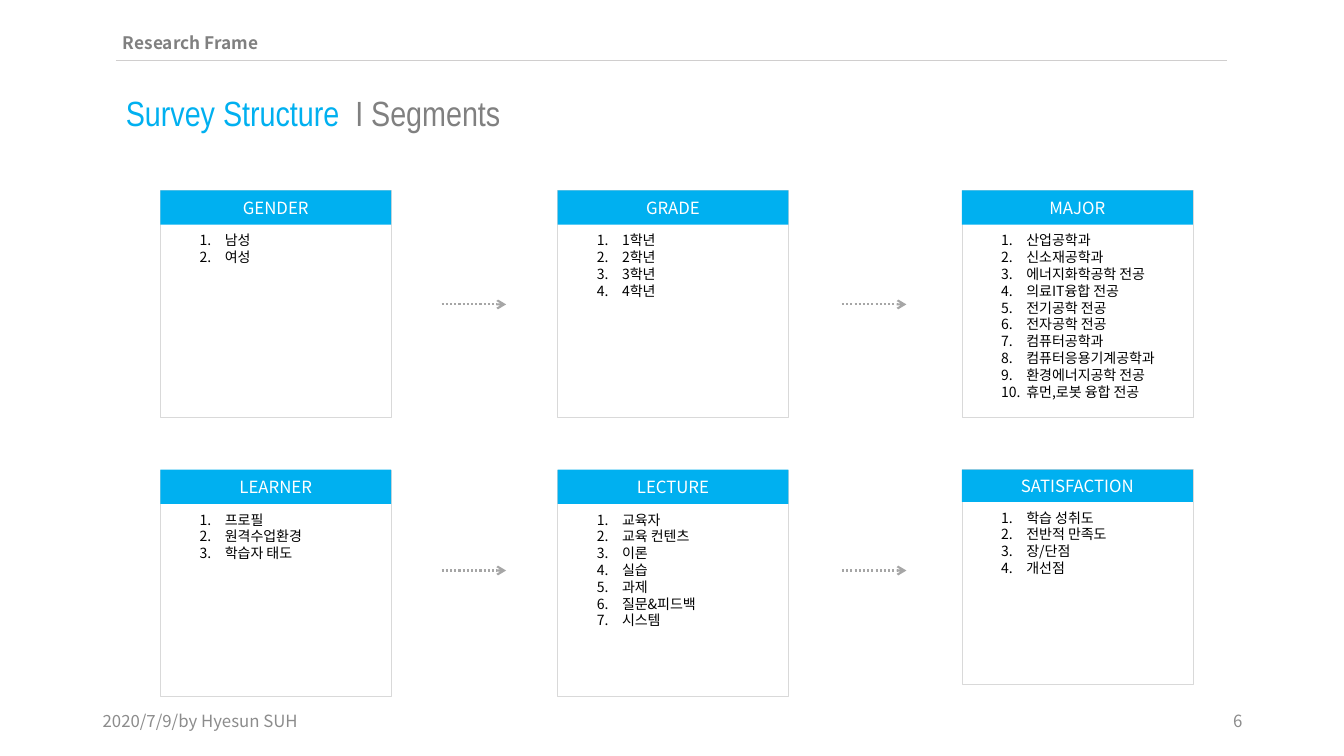
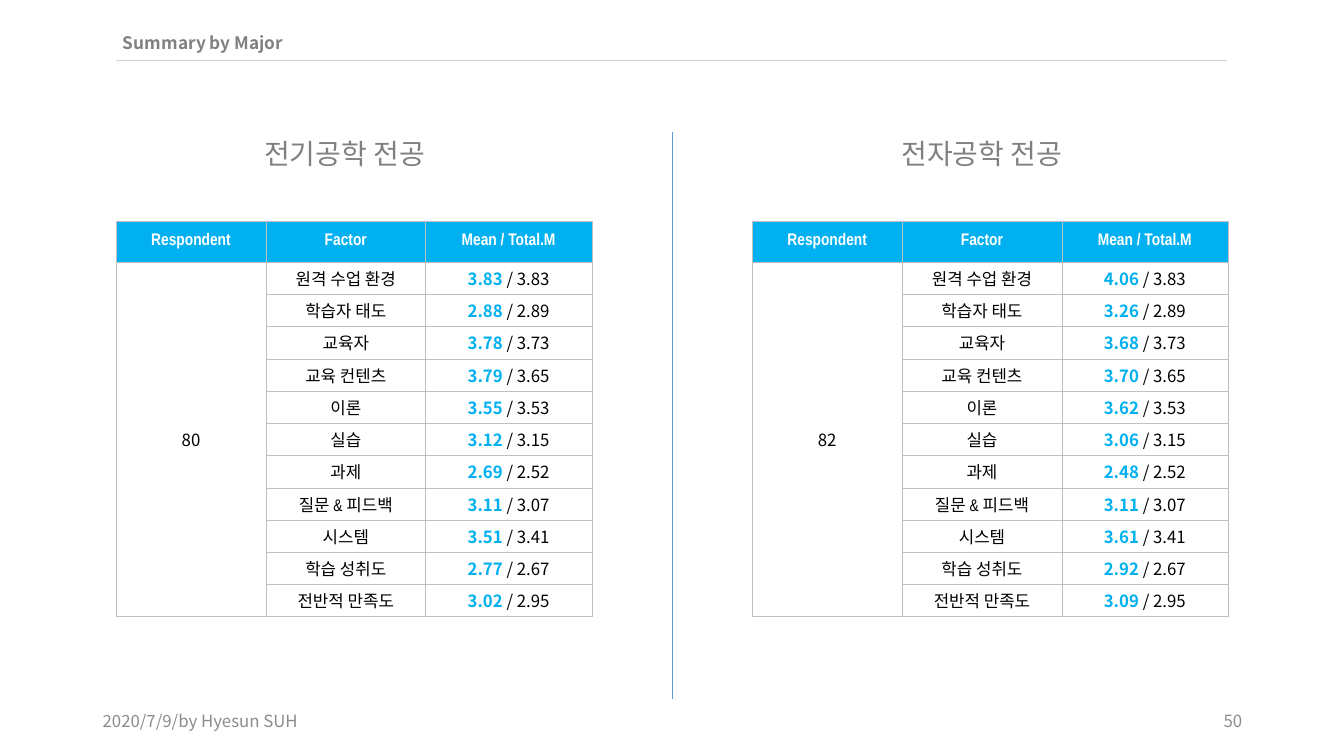
from lxml import etree
from pptx import Presentation
from pptx import util as u
from pptx.dml.color import RGBColor
from pptx.enum import dml, shapes, text
from pptx.oxml import ns

PX = 9144
BLUE = RGBColor(0x00, 0xB0, 0xF0)
RULE = RGBColor(0x5B, 0x9B, 0xD5)
GRAY = RGBColor(0x80, 0x80, 0x80)
FOOT = RGBColor(0x8C, 0x8C, 0x8C)
DOTS = RGBColor(0xA6, 0xA6, 0xA6)
GRID = RGBColor(0xBF, 0xBF, 0xBF)
HAIR = RGBColor(0xD0, 0xCE, 0xCE)
EDGE = RGBColor(0xD9, 0xD9, 0xD9)
BLACK = RGBColor(0x00, 0x00, 0x00)
WHITE = RGBColor(0xFF, 0xFF, 0xFF)
NOTO = "Noto Sans CJK KR"
SLIM = "Arial Narrow"
LEFT = text.PP_ALIGN.LEFT
MID = text.PP_ALIGN.CENTER
RIGHT = text.PP_ALIGN.RIGHT
CENTER = text.MSO_ANCHOR.MIDDLE

SEGMENTS = [
    ("GENDER", 225, ["남성", "여성"]),
    ("GRADE", 225, ["1학년", "2학년", "3학년", "4학년"]),
    ("MAJOR", 225, ["산업공학과", "신소재공학과", "에너지화학공학 전공", "의료IT융합 전공",
                    "전기공학 전공", "전자공학 전공", "컴퓨터공학과", "컴퓨터응용기계공학과",
                    "환경에너지공학 전공", "휴먼,로봇 융합 전공"]),
    ("LEARNER", 225, ["프로필", "원격수업환경", "학습자 태도"]),
    ("LECTURE", 225, ["교육자", "교육 컨텐츠", "이론", "실습", "과제", "질문&피드백", "시스템"]),
    ("SATISFACTION", 213, ["학습 성취도", "전반적 만족도", "장/단점", "개선점"]),
]
HEADS = ["Respondent", "Factor", "Mean / Total.M"]
FACTORS = ["원격 수업 환경", "학습자 태도", "교육자", "교육 컨텐츠", "이론", "실습", "과제",
           "질문 & 피드백", "시스템", "학습 성취도", "전반적 만족도"]
TOTALS = [3.83, 2.89, 3.73, 3.65, 3.53, 3.15, 2.52, 3.07, 3.41, 2.67, 2.95]
MAJORS = [
    ("전기공학 전공", 252, 115, "80",
     [3.83, 2.88, 3.78, 3.79, 3.55, 3.12, 2.69, 3.11, 3.51, 2.77, 3.02]),
    ("전자공학 전공", 884, 746, "82",
     [4.06, 3.26, 3.68, 3.70, 3.62, 3.06, 2.48, 3.11, 3.61, 2.92, 3.09]),
]


def px(*vals):
    """Turn px lengths into EMU."""
    return [u.Emu(round(v * PX)) for v in vals]


def assign(obj, vals):
    """Set each named attribute of an object."""
    for key, val in vals.items():
        setattr(obj, key, val)


def sub(node, tag, **attrs):
    """Append a drawing element and return it."""
    return etree.SubElement(node, ns.qn("a:" + tag), attrs)


def write(para, runs, align=LEFT):
    """Fill a paragraph with runs of (words, size, colour, font, bold)."""
    para.alignment = align
    for words, size, color, face, bold in runs:
        run = para.add_run()
        run.text = words
        run.font.color.rgb = color
        assign(run.font, {"size": u.Pt(size), "bold": bold, "name": face})
        sub(run._r.get_or_add_rPr(), "ea", typeface=NOTO)


def inset(frame, side, top):
    """Set the margins of a text frame or cell."""
    across, down = px(side, top)
    assign(frame, {"margin_left": across, "margin_right": across,
                   "margin_top": down, "margin_bottom": down})


def label(tree, box, runs, align=LEFT, pad=(10, 5), anchor=text.MSO_ANCHOR.TOP):
    """Place one line of text in a box."""
    frame = tree.add_textbox(*px(*box)).text_frame
    assign(frame, {"word_wrap": True, "vertical_anchor": anchor})
    inset(frame, *pad)
    write(frame.paragraphs[0], runs, align)


def line(slide, ends, color, width, arrow=False):
    """Draw a line, dotted with a head if it is an arrow."""
    link = slide.shapes.add_connector(shapes.MSO_CONNECTOR.STRAIGHT, *px(*ends))
    link.line.color.rgb = color
    link.line.width = u.Pt(width)
    if arrow:
        link.line.dash_style = dml.MSO_LINE.ROUND_DOT
        sub(link.line._get_or_add_ln(), "tailEnd", type="arrow")
    sub(link._element.spPr, "effectLst")


def block(tree, box, fill=None, edge=None):
    """Draw a plain rectangle."""
    shape = tree.add_shape(shapes.MSO_SHAPE.RECTANGLE, *px(*box))
    shape.shadow.inherit = False
    if fill:
        shape.fill.solid()
        shape.fill.fore_color.rgb = fill
    else:
        shape.fill.background()
    if edge:
        shape.line.color.rgb = edge
        shape.line.width = u.Pt(0.25)
    else:
        shape.line.fill.background()
    return shape


def card(slide, box, name, items):
    """Draw a segment card: frame, header band and numbered list."""
    x, y, w, h = box
    band = round(h * 0.15)
    tree = slide.shapes.add_group_shape().shapes
    block(tree, box, edge=EDGE)
    frame = block(tree, (x, y, w, band), fill=BLUE).text_frame
    inset(frame, 14, 7)
    frame.vertical_anchor = CENTER
    write(frame.paragraphs[0], [(name, 12, WHITE, NOTO, False)], MID)
    size = (x + 25, y + band, w - 25, 14 + 17 * len(items))
    frame = tree.add_textbox(*px(*size)).text_frame
    frame.word_wrap = True
    inset(frame, 14, 7)
    for i, item in enumerate(items):
        para = frame.add_paragraph() if i else frame.paragraphs[0]
        write(para, [(item, 10, BLACK, NOTO, False)])
        prop = para._p.get_or_add_pPr()
        assign_indent = {"marL": str(25 * PX), "indent": str(-25 * PX)}
        for key, val in assign_indent.items():
            prop.set(key, val)
        sub(prop, "buFont", typeface="+mj-lt")
        sub(prop, "buAutoNum", type="arabicPeriod")


def fill_cell(cell, runs, fill=None):
    """Write, fill and border one table cell."""
    write(cell.text_frame.paragraphs[0], runs, MID)
    cell.vertical_anchor = CENTER
    inset(cell, 10, 2)
    if fill:
        cell.fill.solid()
        cell.fill.fore_color.rgb = fill
    else:
        cell.fill.background()
    prop = cell._tc.get_or_add_tcPr()
    for i, side in enumerate(("lnL", "lnR", "lnT", "lnB")):
        edge = sub(prop, side, w=str(u.Pt(0.25)))
        sub(sub(edge, "solidFill"), "srgbClr", val=str(GRID))
        prop.insert(i, edge)


def scores(slide, x, y, count, means):
    """Place a table of factor means beside the overall means."""
    cols, rows = (149, 158, 165), [41] + [32] * len(FACTORS)
    box = px(x, y, sum(cols), sum(rows))
    table = slide.shapes.add_table(len(rows), len(cols), *box).table
    assign(table, {"first_row": False, "horz_banding": False})
    for col, wide in zip(table.columns, px(*cols)):
        col.width = wide
    for row, high in zip(table.rows, px(*rows)):
        row.height = high
    for c, head in enumerate(HEADS):
        fill_cell(table.cell(0, c), [(head, 12, WHITE, SLIM, True)], BLUE)
    for r, (factor, mean, total) in enumerate(zip(FACTORS, means, TOTALS), 1):
        first = [(count, 12, BLACK, NOTO, False)] if r == 1 else []
        fill_cell(table.cell(r, 0), first)
        fill_cell(table.cell(r, 1), [(factor, 12, BLACK, SLIM, False)])
        fill_cell(table.cell(r, 2), [(f"{mean:.2f}", 12, BLUE, NOTO, True),
                                     (f" / {total:.2f}", 12, BLACK, NOTO, False)])
    table.cell(1, 0).merge(table.cell(len(FACTORS), 0))


def base(deck, head, page):
    """Add a slide with its heading, rule and footer."""
    slide = deck.slides.add_slide(deck.slide_layouts[6])
    label(slide.shapes, (115, 29, 670, 28), [(head, 12.3, GRAY, NOTO, True)], pad=(7, 3))
    line(slide, (115, 60, 1217, 60), HAIR, 0.5)
    feet = ((92, "2020/7/9/by Hyesun SUH", LEFT), (942, page, RIGHT))
    for x, words, align in feet:
        label(slide.shapes, (x, 695, 300, 40), [(words, 12, FOOT, NOTO, False)],
              align, anchor=CENTER)
    return slide


def frame_slide(deck):
    """Build the slide of survey segments."""
    slide = base(deck, "Research Frame", "6")
    label(slide.shapes, (115, 86, 755, 52), [("Survey Structure  ", 25, BLUE, SLIM, False),
                                             ("I Segments", 25, GRAY, SLIM, False)])
    cols, rows = (159, 553, 954), (189, 466)
    for i, (name, high, items) in enumerate(SEGMENTS):
        card(slide, (cols[i % 3], rows[i // 3], 229, high), name, items)
    for y in (302, 566):
        for x in (438, 835):
            line(slide, (x, y, x + 64, y), DOTS, 1.5, arrow=True)


def major_slide(deck):
    """Build the slide that compares two majors."""
    slide = base(deck, "Summary by Major", "50")
    line(slide, (667, 693, 667, 131), RULE, 0.5)
    for name, left, x, count, means in MAJORS:
        label(slide.shapes, (left, 131, 199, 44), [(name, 20, GRAY, SLIM, False)])
        scores(slide, x, 219, count, means)


def main():
    """Build and save the deck."""
    deck = Presentation()
    wide, high = px(1333, 750)
    assign(deck, {"slide_width": wide, "slide_height": high})
    frame_slide(deck)
    major_slide(deck)
    deck.save("out.pptx")


if __name__ == "__main__":
    main()
